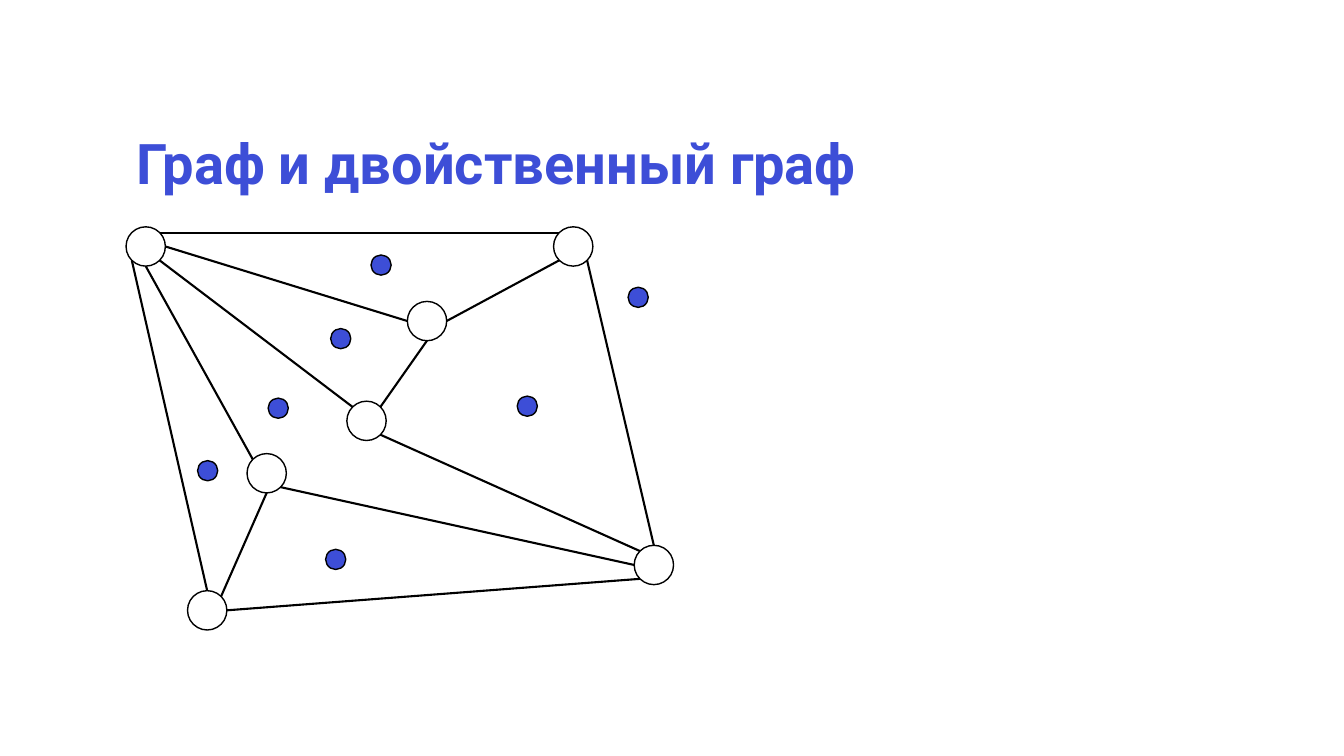
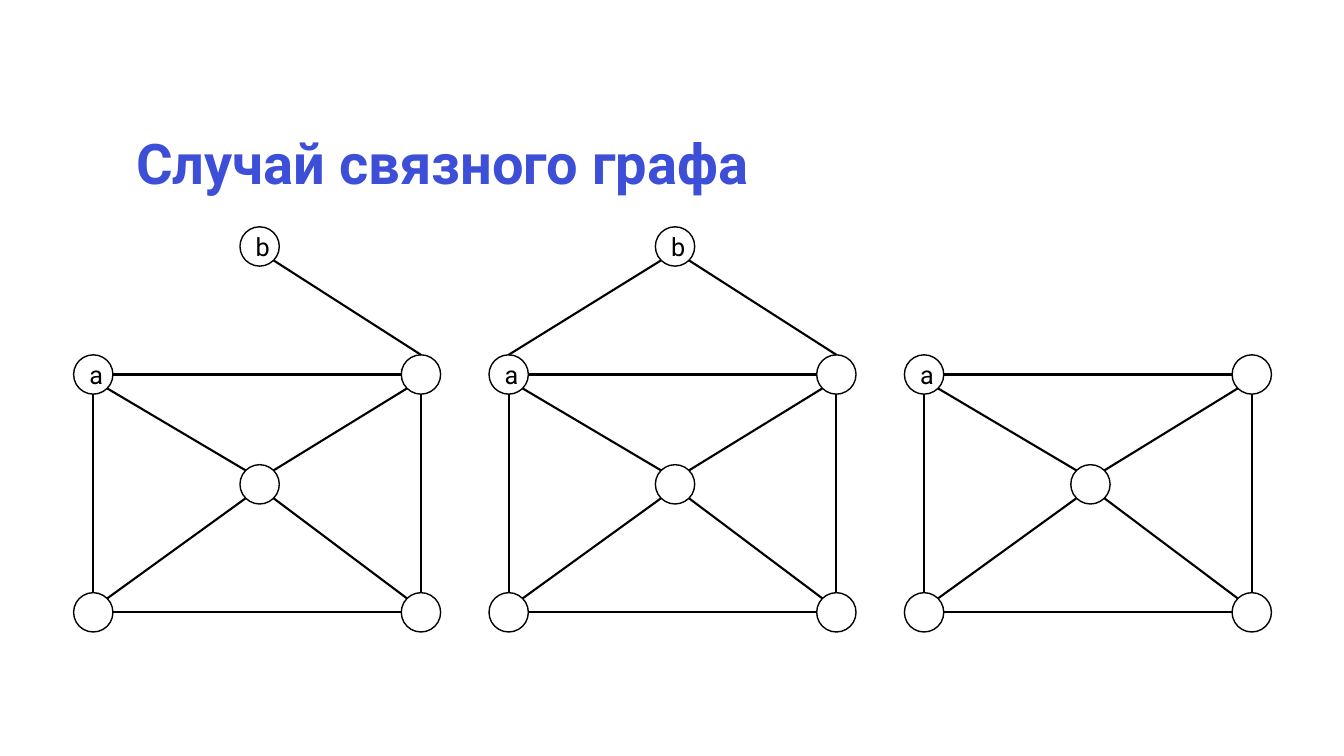
"""Build two slides on planar graphs and their duals."""
from dataclasses import dataclass
from math import cos, radians, sin

from lxml.etree import SubElement
from pptx import Presentation
from pptx.dml.color import RGBColor
from pptx.enum.shapes import MSO_CONNECTOR, MSO_SHAPE
from pptx.enum.text import MSO_ANCHOR, MSO_AUTO_SIZE, PP_ALIGN
from pptx.oxml.ns import qn
from pptx.util import Inches, Pt


@dataclass(frozen=True)
class Theme:
    font: str = "Roboto"
    blue: RGBColor = RGBColor(0x3D, 0x4E, 0xD7)
    black: RGBColor = RGBColor(0, 0, 0)
    white: RGBColor = RGBColor(255, 255, 255)
    title: Pt = Pt(40)
    label: Pt = Pt(18)
    rim: Pt = Pt(1)
    edge: Pt = Pt(1.5)
    node: float = 0.39
    dot: float = 0.2


THEME = Theme()
TOP, LEFT, BOTTOM, RIGHT = 0, 2, 4, 6
TOP_LEFT, LOW_LEFT, LOW_RIGHT, TOP_RIGHT = 1, 3, 5, 7

NODES = {
    "A": (1.25, 2.25), "B": (5.49, 2.25), "C": (4.04, 2.99),
    "D": (3.44, 3.98), "E": (2.45, 4.5), "F": (6.29, 5.41),
    "G": (1.86, 5.86),
}
EDGES = [
    ("D", TOP_LEFT, "A", LOW_RIGHT), ("A", BOTTOM, "E", TOP_LEFT),
    ("B", LOW_RIGHT, "F", TOP), ("F", LOW_LEFT, "G", RIGHT),
    ("B", TOP_LEFT, "A", TOP_RIGHT), ("D", LOW_RIGHT, "F", TOP_LEFT),
    ("D", TOP_RIGHT, "C", BOTTOM), ("B", LOW_LEFT, "C", RIGHT),
    ("A", LOW_LEFT, "G", TOP), ("F", LEFT, "E", LOW_RIGHT),
    ("C", LEFT, "A", RIGHT), ("E", BOTTOM, "G", TOP_RIGHT),
]
DUALS = [(3.68, 2.53), (3.28, 3.26), (5.13, 3.93), (2.66, 3.95),
         (1.96, 4.57), (3.23, 5.45), (6.23, 2.85)]

STEP = 4.12
BOX = {"a": (0.73, 3.52), "ne": (3.98, 3.52), "sw": (0.73, 5.88),
       "se": (3.98, 5.88), "mid": (2.38, 4.61)}
APEX = {"b": (2.38, 2.25)}
FRAME = [
    ("sw", TOP_RIGHT, "mid", LOW_LEFT), ("se", LEFT, "sw", RIGHT),
    ("a", LOW_RIGHT, "mid", TOP_LEFT), ("a", BOTTOM, "sw", TOP),
    ("ne", LEFT, "a", RIGHT), ("mid", TOP_RIGHT, "ne", LOW_LEFT),
    ("ne", BOTTOM, "se", TOP), ("se", TOP_LEFT, "mid", LOW_RIGHT),
]
B_NE = ("b", LOW_RIGHT, "ne", TOP)
A_B = ("a", TOP, "b", LOW_LEFT)


def add_slide(deck, text, width):
    """Add a slide with its title."""
    slide = deck.slides.add_slide(deck.slide_layouts[5])
    title = slide.shapes.title
    title.left, title.top = Inches(1.25), Inches(1.25)
    title.width, title.height = Inches(width), Inches(0.8)
    frame = title.text_frame
    frame.text = text
    frame.auto_size = MSO_AUTO_SIZE.NONE
    frame.vertical_anchor = MSO_ANCHOR.MIDDLE
    line = frame.paragraphs[0]
    line.alignment = PP_ALIGN.LEFT
    line.line_spacing = 0.9
    set_font(line.font, THEME.title, THEME.blue, True)
    return slide


def set_font(font, size, color, bold=False):
    """Set the font of a paragraph."""
    font.name, font.size, font.bold = THEME.font, size, bold
    font.color.rgb = color


def add_disc(shapes, spot, size, fill, text=""):
    """Add a circle, with a label if given."""
    x, y = spot
    disc = shapes.add_shape(MSO_SHAPE.OVAL, Inches(x), Inches(y),
                            Inches(size), Inches(size))
    disc.shadow.inherit = False
    disc.fill.solid()
    disc.fill.fore_color.rgb = fill
    disc.line.color.rgb = THEME.black
    disc.line.width = THEME.rim
    if text:
        disc.text_frame.text = text
        disc.text_frame.vertical_anchor = MSO_ANCHOR.MIDDLE
        label = disc.text_frame.paragraphs[0]
        label.alignment = PP_ALIGN.CENTER
        set_font(label.font, THEME.label, THEME.black)
    return disc


def get_site(disc, site):
    """Find one of the eight joints on a circle."""
    angle, radius = radians(45 * site), disc.width / 2
    return (round(disc.left + radius * (1 - sin(angle))),
            round(disc.top + radius * (1 - cos(angle))))


def add_edge(shapes, start, out, end, into):
    """Join two circles with a line."""
    edge = shapes.add_connector(MSO_CONNECTOR.STRAIGHT,
                                *get_site(start, out), *get_site(end, into))
    edge.line.color.rgb = THEME.black
    edge.line.width = THEME.edge
    SubElement(edge.element.spPr, qn("a:effectLst"))
    joints = edge.element.nvCxnSpPr.cNvCxnSpPr
    for tag, disc, site in (("a:stCxn", start, out), ("a:endCxn", end, into)):
        SubElement(joints, qn(tag), id=str(disc.shape_id), idx=str(site))


def add_graph(shapes, nodes, edges, shift=0):
    """Draw nodes and edges, labelling a and b."""
    discs = {name: add_disc(shapes, (x + shift, y), THEME.node, THEME.white,
                            name if name in ("a", "b") else "")
             for name, (x, y) in nodes.items()}
    for start, out, end, into in edges:
        add_edge(shapes, discs[start], out, discs[end], into)


def main():
    """Build and save the deck."""
    deck = Presentation()
    deck.slide_width, deck.slide_height = Inches(13.33), Inches(7.5)

    slide = add_slide(deck, "Граф и двойственный граф", 9.04)
    add_graph(slide.shapes, NODES, EDGES)
    for spot in DUALS:
        add_disc(slide.shapes, spot, THEME.dot, THEME.blue)

    slide = add_slide(deck, "Случай связного графа", 10.85)
    full = {**APEX, **BOX}
    cases = [(full, FRAME + [B_NE]), (full, FRAME + [B_NE, A_B]), (BOX, FRAME)]
    for index, (nodes, edges) in enumerate(cases):
        group = slide.shapes.add_group_shape()
        add_graph(group.shapes, nodes, edges, index * STEP)

    deck.save("out.pptx")


if __name__ == "__main__":
    main()
